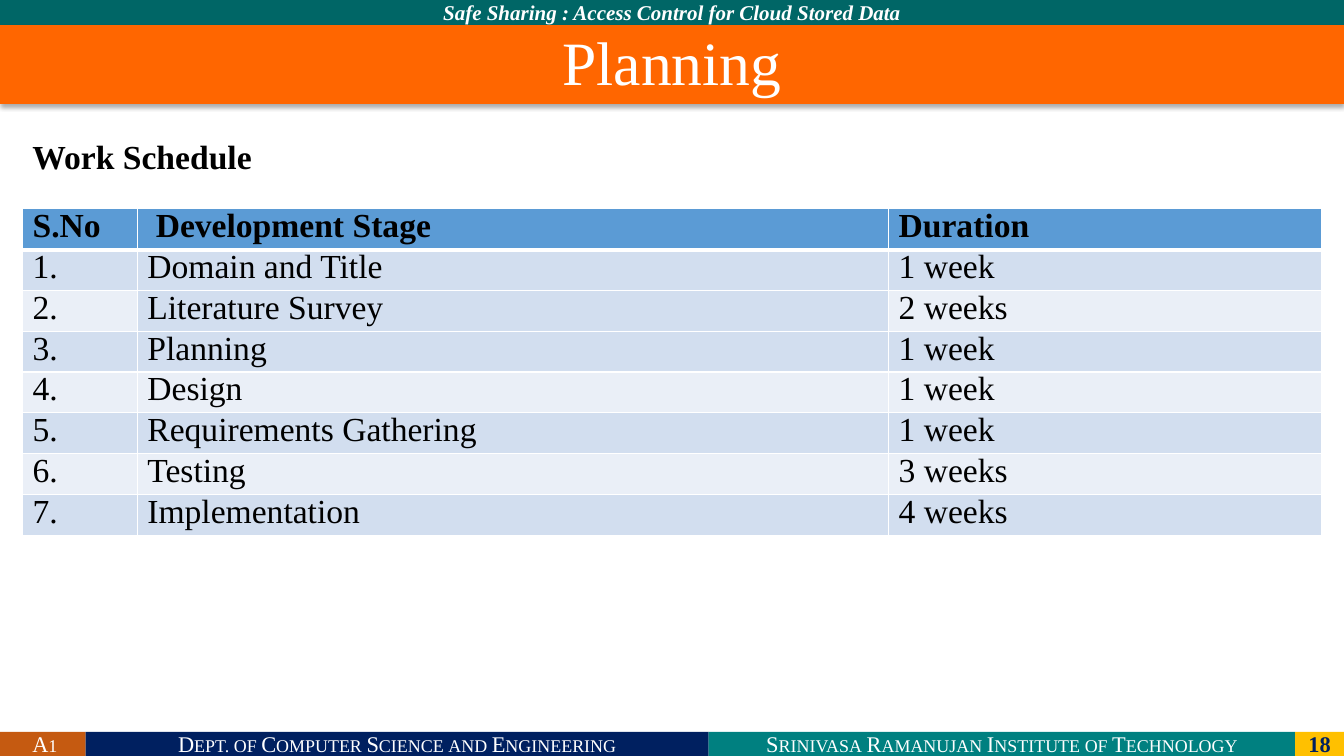
from lxml import etree
from pptx import Presentation
from pptx.dml.color import RGBColor
from pptx.enum.shapes import MSO_SHAPE
from pptx.enum.text import MSO_ANCHOR, PP_ALIGN
from pptx.oxml import parse_xml
from pptx.oxml.ns import nsdecls, qn
from pptx.util import Pt

RECT = MSO_SHAPE.RECTANGLE
MIDDLE, BOTTOM, TOP = MSO_ANCHOR.MIDDLE, MSO_ANCHOR.BOTTOM, MSO_ANCHOR.TOP
CENTER, JUSTIFY = PP_ALIGN.CENTER, PP_ALIGN.JUSTIFY

WIDE, HIGH = 960, 540
FONT = "Times New Roman"
COLORS = {
    "white": "FFFFFF", "black": "000000", "navy": "002060", "teal": "008080",
    "gold": "FFC000", "pine": "006666", "rust": "C55A11", "orange": "FF6600",
    "head": "5B9BD5", "dark": "D2DEEF", "light": "EAEFF7",
}
HEADS = ["S.No", "Development Stage", "Duration"]
STAGES = [
    ("Domain and Title", "1 week"),
    ("Literature Survey", "2 weeks"),
    ("Planning", "1 week"),
    ("Design", "1 week"),
    ("Requirements Gathering", "1 week"),
    ("Testing", "3 weeks"),
    ("Implementation", "4 weeks"),
]
COLS = [82, 536.6, 309.2]
ROW = 29.16


def color(name):
    return RGBColor.from_string(COLORS[name])


def write(frame, text, size=24, ink="black", bold=False, italic=False,
          caps=False, align=JUSTIFY, space=0.8):
    para = frame.paragraphs[0]
    para.alignment = align
    para.line_spacing = space
    run = para.add_run()
    run.text = text
    font = run.font
    font.name, font.size = FONT, Pt(size)
    font.bold, font.italic = bold, italic
    font.color.rgb = color(ink)
    if caps:
        font._element.set("cap", "small")


def add_bar(slide, box, fill, text, anchor=MIDDLE, lead=0, **style):
    bar = slide.shapes.add_shape(RECT, *map(Pt, box))
    bar.shadow.inherit = False
    bar.fill.solid()
    bar.fill.fore_color.rgb = color(fill)
    bar.line.fill.background()
    frame = bar.text_frame
    frame.word_wrap = True
    frame.vertical_anchor = anchor
    frame.margin_left, frame.margin_right = Pt(lead), 0
    frame.margin_top = frame.margin_bottom = Pt(3.6)
    write(frame, text, align=CENTER, **style)
    return bar


def add_shade(shape):
    effects = shape._element.spPr.find(qn("a:effectLst"))
    effects.append(parse_xml(
        f'<a:outerShdw {nsdecls("a")} blurRad="{Pt(3.5)}" dist="{Pt(2.2)}" '
        'dir="5400000" algn="t" rotWithShape="0"><a:srgbClr val="000000">'
        '<a:alpha val="32000"/></a:srgbClr></a:outerShdw>'))


def add_edges(cell, under):
    props = cell._tc.get_or_add_tcPr()
    widths = {"lnL": 1, "lnR": 1, "lnT": 1, "lnB": under}
    for spot, (tag, width) in enumerate(widths.items()):
        line = etree.Element(qn("a:" + tag), w=str(Pt(width)))
        fill = etree.SubElement(line, qn("a:solidFill"))
        etree.SubElement(fill, qn("a:srgbClr"), val=COLORS["white"])
        props.insert(spot, line)


def add_plan(slide):
    rows = [HEADS] + [(f"{n}.", *stage) for n, stage in enumerate(STAGES, 1)]
    table = slide.shapes.add_table(
        len(rows), len(COLS), Pt(16.1), Pt(149.2),
        Pt(sum(COLS)), Pt(ROW * len(rows))).table
    for col, width in zip(table.columns, COLS):
        col.width = Pt(width)
    for r, row in enumerate(rows):
        table.rows[r].height = Pt(ROW)
        for c, text in enumerate(row):
            cell = table.cell(r, c)
            # The survey stage keeps the darker band
            band = "dark" if r % 2 or (r, c) == (2, 1) else "light"
            cell.fill.solid()
            cell.fill.fore_color.rgb = color(band if r else "head")
            cell.vertical_anchor = TOP
            if (r, c) == (0, 1):
                cell.margin_left = Pt(13.2)
            write(cell.text_frame, text, bold=r == 0)
            add_edges(cell, 1 if r else 3)


def add_label(slide, box, text):
    frame = slide.shapes.add_textbox(*map(Pt, box)).text_frame
    frame.word_wrap = True
    write(frame, text, bold=True)


def main():
    deck = Presentation()
    deck.slide_width, deck.slide_height = Pt(WIDE), Pt(HIGH)
    slide = deck.slides.add_slide(deck.slide_layouts[6])

    # Footer, left to right
    foot = [
        (61.2, "rust", "A1", {"lead": 3, "caps": True}),
        (445, "navy", "Dept. of Computer Science and Engineering",
         {"caps": True}),
        (419, "teal", "Srinivasa Ramanujan Institute of Technology",
         {"caps": True}),
        (34.8, "gold", "18", {"ink": "navy", "bold": True}),
    ]
    left = 0
    for width, fill, text, style in foot:
        style = {"ink": "white", **style}
        add_bar(slide, (left, 522.7, width, 17.3), fill, text,
                size=16, space=1, **style)
        left += width

    # Header and title
    add_bar(slide, (0, 0, WIDE, 18), "pine",
            "Safe Sharing : Access Control for Cloud Stored Data",
            size=15, ink="white", bold=True, italic=True, space=1)
    title = add_bar(slide, (0, 18, WIDE, 56.2), "orange", "Planning",
                    anchor=BOTTOM, size=44, ink="white", space=0.9)
    add_shade(title)

    # Schedule
    add_plan(slide)
    add_label(slide, (16.1, 99.2, 486.7, 30), "Work Schedule")
    deck.save("out.pptx")


if __name__ == "__main__":
    main()
